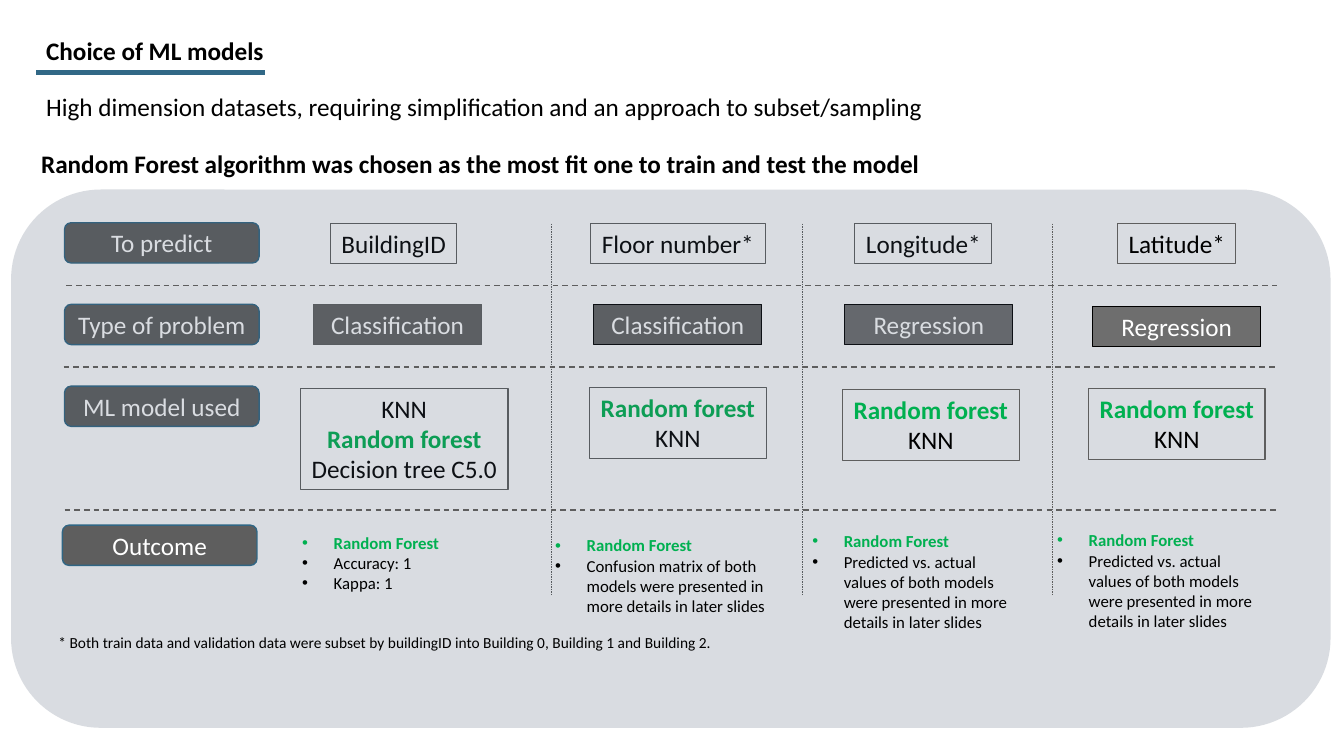
from lxml import etree
from pptx import Presentation
from pptx.dml.color import RGBColor
from pptx.enum.dml import MSO_LINE
from pptx.enum.shapes import MSO_CONNECTOR, MSO_SHAPE
from pptx.enum.text import MSO_ANCHOR, PP_ALIGN
from pptx.oxml.ns import qn
from pptx.util import Pt

rgb = RGBColor.from_string
STRAIGHT = MSO_CONNECTOR.STRAIGHT
ROUNDED = MSO_SHAPE.ROUNDED_RECTANGLE
DASH = MSO_LINE.DASH
LEFT, CENTER = PP_ALIGN.LEFT, PP_ALIGN.CENTER
TOP, MIDDLE = MSO_ANCHOR.TOP, MSO_ANCHOR.MIDDLE

BLACK, WHITE, GREEN, GRAY = "000000", "FFFFFF", "00B050", "5E5E5E"

prs = Presentation()
prs.slide_width, prs.slide_height = Pt(960), Pt(540)
s = prs.slides.add_slide(prs.slide_layouts[6])


def box(x, y, w, h, paras, size=18, align=LEFT, anchor=TOP, fill=None,
        line=None, width=0.75, rounded=False, bullets=False, wrap=True):
    area = Pt(x), Pt(y), Pt(w), Pt(h)
    if rounded:
        sp = s.shapes.add_shape(ROUNDED, *area)
        sp.shadow.inherit = False
    else:
        sp = s.shapes.add_textbox(*area)
    if fill:
        sp.fill.solid()
        sp.fill.fore_color.rgb = rgb(fill)
    if line:
        sp.line.color.rgb = rgb(line)
        sp.line.width = Pt(width)
    else:
        sp.line.fill.background()
    tf = sp.text_frame
    tf.word_wrap = wrap
    tf.vertical_anchor = anchor
    for i, (text, color, bold) in enumerate(paras):
        p = tf.add_paragraph() if i else tf.paragraphs[0]
        p.alignment = align
        r = p.add_run()
        r.text = text
        r.font.name = "Calibri"
        r.font.size = Pt(size)
        r.font.bold = bold
        r.font.color.rgb = rgb(color)
        if bullets:
            pPr = p._p.get_or_add_pPr()
            pPr.set("marL", str(Pt(22.5)))
            pPr.set("indent", str(-Pt(22.5)))
            etree.SubElement(pPr, qn("a:buFont")).set("typeface", "Arial")
            etree.SubElement(pPr, qn("a:buChar")).set("char", "•")
    return sp


def rule(x1, y1, x2, y2, color, width, dash=None):
    c = s.shapes.add_connector(STRAIGHT, Pt(x1), Pt(y1), Pt(x2), Pt(y2))
    c.line.color.rgb = rgb(color)
    c.line.width = Pt(width)
    c.line.dash_style = dash
    etree.SubElement(c._element.spPr, qn("a:effectLst"))


title = box(25.9, 13.7, 828, 46.8, [("Choice of ML models", BLACK, True)], anchor=MIDDLE)
title.text_frame.paragraphs[0].line_spacing = 0.9
rule(25.9, 51.8, 189.4, 51.8, "316886", 3)
box(22.3, 102.2, 818, 28.8, [(
    "Random Forest algorithm was chosen as the most fit one to train and test the model",
    BLACK, True)])
box(25.9, 61.9, 687, 28.8, [(
    "High dimension datasets, requiring simplification and an approach to subset/sampling",
    BLACK, False)])

targets = [
    ("BuildingID", 236.2, 90),
    ("Floor number*", 421.9, 124.6),
    ("Longitude*", 610.6, 97.9),
    ("Latitude*", 798.5, 84.2),
]
problems = [
    ("Classification", 223.9, 217.4, "626262", GRAY),
    ("Classification", 424.1, 217.4, "626262", BLACK),
    ("Regression", 603.4, 217.4, "6E6E6E", BLACK),
    ("Regression", 780.5, 218.9, "6E6E6E", BLACK),
]
forest_knn = [("Random forest", GREEN, True), ("KNN", BLACK, False)]
all_models = [("KNN", BLACK, False), ("Random forest", GREEN, True),
              ("Decision tree C5.0", BLACK, False)]
models = [
    (214.6, 277.2, 148.3, 72.7, all_models),
    (421.2, 276.5, 126, 51.1, forest_knn),
    (601.9, 277.9, 126, 51.1, forest_knn),
    (777.6, 277.2, 126, 51.1, forest_knn),
]
predicted = ["Predicted vs. actual values of both models were presented in more "
             "details in later slides"]
outcomes = [
    (208.8, 376.6, 159.1, 51.1, ["Accuracy: 1", "Kappa: 1"]),
    (389.5, 378.7, 169.9, 65.5, ["Confusion matrix of both models were presented in more "
                                 "details in later slides"]),
    (573.1, 375.8, 159.8, 79.9, predicted),
    (748.1, 375.1, 159.8, 79.9, predicted),
]
row_labels = [
    ("To predict", 46.1, 159.1),
    ("Type of problem", 46.1, 217.4),
    ("ML model used", 46.1, 275.8),
    ("Outcome", 44.6, 375.1),
]

# The translucent panel tints the first three columns and row labels.
for tinted in (True, False):
    columns = slice(0, 3) if tinted else slice(3, 4)
    for text, x, w in targets[columns]:
        box(x, 159.8, w, 28.8, [(text, BLACK, False)], align=CENTER, line=GRAY, wrap=False)
    for text, x, y, fill, line in problems[columns]:
        box(x, y, 120.2, 28.8, [(text, WHITE, False)], align=CENTER, fill=fill, line=line)
    for x, y, w, h, paras in models[:2] if tinted else models[2:]:
        box(x, y, w, h, paras, align=CENTER, line=GRAY, wrap=False)
    for x in (393.8, 573.1) if tinted else (751.7,):
        rule(x, 159.8, x, 425.5, GRAY, 0.25, DASH)
    for text, x, y in row_labels[columns]:
        box(x, y, 139, 28.8, [(text, WHITE, False)], align=CENTER, anchor=MIDDLE,
            fill=GRAY, line="306684", width=1, rounded=True)
    if tinted:
        panel = box(7.9, 135.4, 942.5, 384.5, [], fill="44546A", rounded=True)
        tint = panel._element.spPr.find(qn("a:solidFill"))[0]
        etree.SubElement(tint, qn("a:alpha")).set("val", "20000")

for x, y in ((47.5, 203.8), (46.1, 364.3), (45.4, 262.1)):
    rule(x, y, 912.2, y, GRAY, 1, DASH)
for x, y, w, h, details in outcomes:
    paras = [("Random Forest", GREEN, True)] + [(d, BLACK, False) for d in details]
    box(x, y, w, h, paras, size=12, bullets=True)
box(34.6, 448.6, 851, 20.9, [(
    "* Both train data and validation data were subset by buildingID into "
    "Building 0, Building 1 and Building 2.", BLACK, False)], size=11)

prs.save("out.pptx")
